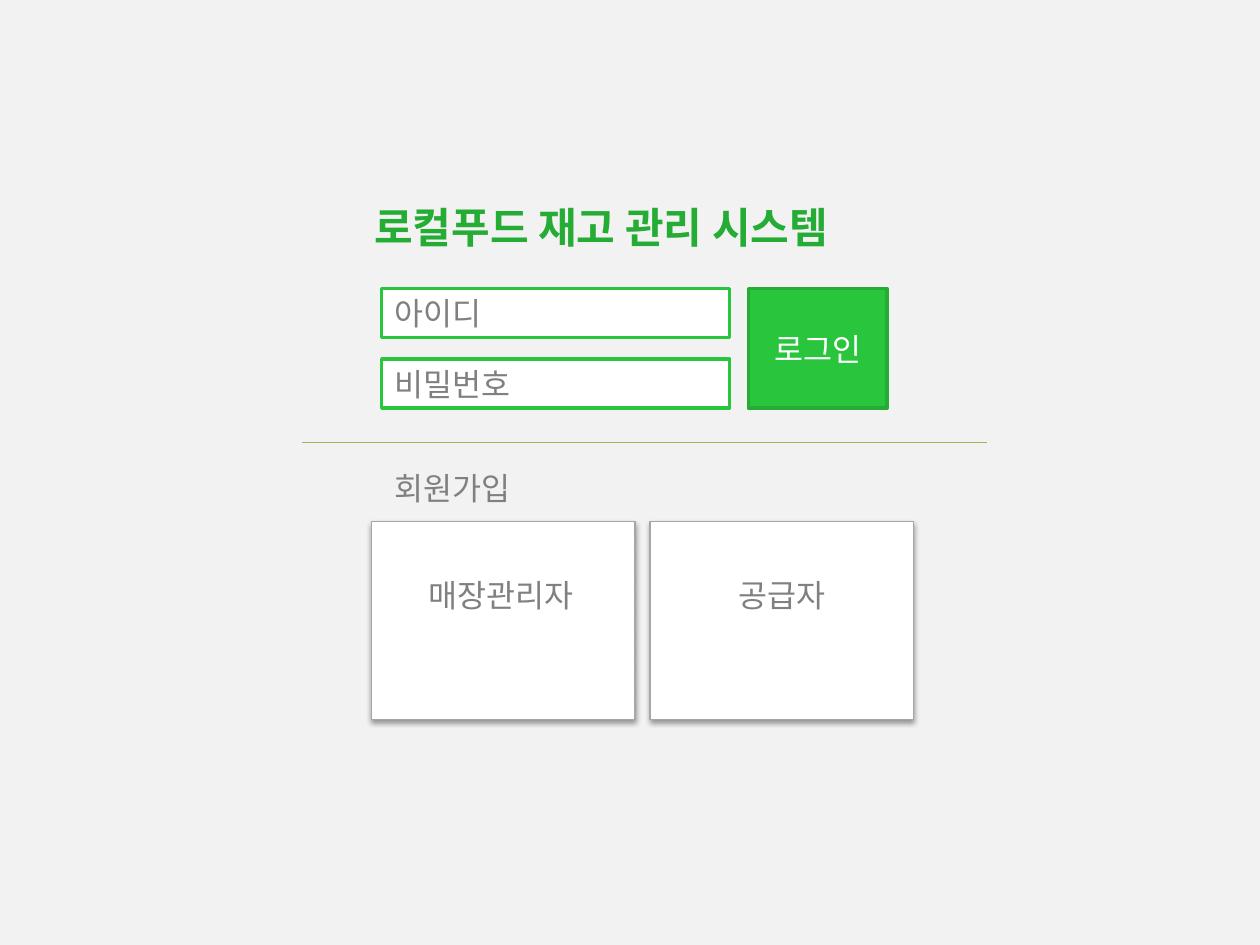
from lxml import etree
from pptx import Presentation
from pptx import util as u
from pptx.dml.color import RGBColor
from pptx.enum import shapes, text
from pptx.oxml import ns

FONT = "Noto Sans CJK KR"
COLORS = {
    "page": "F2F2F2",
    "white": "FFFFFF",
    "green": "29C53C",
    "dark_green": "24AC34",
    "rule": "98B955",
    "gray": "808080",
    "border": "A6A6A6",
    "shadow": "000000",
}


def color(name):
    return RGBColor.from_string(COLORS[name])


def add_child(parent, tag, **attributes):
    return etree.SubElement(parent, ns.qn(tag), attributes)


def write(frame, words, size, ink, bold=False, align=text.PP_ALIGN.LEFT):
    para = frame.paragraphs[0]
    para.text = words
    para.alignment = align
    font = para.font
    font.name, font.size, font.bold = FONT, u.Pt(size), bold
    font.color.rgb = color(ink)
    add_child(para._p.pPr.find(ns.qn("a:defRPr")), "a:ea", typeface=FONT)


def fit_to_text(frame):
    frame.word_wrap = False
    frame.auto_size = text.MSO_AUTO_SIZE.SHAPE_TO_FIT_TEXT
    frame.vertical_anchor = text.MSO_ANCHOR.TOP


def add_label(page, left, top, width, words):
    box = page.shapes.add_textbox(
        u.Inches(left), u.Inches(top), u.Inches(width), u.Inches(0.4))
    fit_to_text(box.text_frame)
    write(box.text_frame, words, 18, "gray")


def add_box(page, left, top, width, height, fill, line, weight):
    box = page.shapes.add_shape(
        shapes.MSO_SHAPE.RECTANGLE,
        u.Inches(left), u.Inches(top), u.Inches(width), u.Inches(height))
    box.shadow.inherit = False
    box.fill.solid()
    box.fill.fore_color.rgb = color(fill)
    box.line.color.rgb = color(line)
    box.line.width = u.Pt(weight)
    box.text_frame.vertical_anchor = text.MSO_ANCHOR.MIDDLE
    return box


def add_drop_shadow(box):
    effects = box._element.spPr.find(ns.qn("a:effectLst"))
    shadow = add_child(
        effects, "a:outerShdw", blurRad=str(u.Pt(3.1)), dist=str(u.Pt(1.6)),
        dir="5400000", rotWithShape="0")
    tone = add_child(shadow, "a:srgbClr", val=COLORS["shadow"])
    add_child(tone, "a:alpha", val="38000")


def place_title(page, left, top, width, height):
    title = page.shapes.title
    title.left, title.top = u.Inches(left), u.Inches(top)
    title.width, title.height = u.Inches(width), u.Inches(height)
    fit_to_text(title.text_frame)
    write(title.text_frame, "로컬푸드 재고 관리 시스템", 24, "dark_green", bold=True)


def add_login(page, left, top, width, height):
    field_width, field_height, button_width = 2.76, 0.39, 1.1
    for index, words in enumerate(("아이디", "비밀번호")):
        field_top = top + index * (height - field_height)
        field = add_box(page, left, field_top, field_width, field_height,
                        "white", "green", 2)
        write(field.text_frame, words, 18, "gray")
    button = add_box(page, left + width - button_width, top, button_width,
                     height, "green", "dark_green", 2)
    write(button.text_frame, "로그인", 18, "white", align=text.PP_ALIGN.CENTER)


def add_divider(page, left, top, width):
    rule = page.shapes.add_connector(
        shapes.MSO_CONNECTOR.STRAIGHT, u.Inches(left), u.Inches(top),
        u.Inches(left + width), u.Inches(top))
    rule.line.color.rgb = color("rule")
    rule.line.width = u.Pt(0.75)
    add_child(rule._element.spPr, "a:effectLst")


def add_signup(page, left, top, width, height):
    card_width, card_top = 2.09, top + 0.47
    card_height = height - 0.47
    add_label(page, left + 0.08, top, 1.21, "회원가입")
    roles = (("매장관리자", 1.46), ("공급자", 0.96))
    for index, (words, label_width) in enumerate(roles):
        card_left = left + index * (width - card_width)
        card = add_box(page, card_left, card_top, card_width, card_height,
                       "white", "border", 0.75)
        add_drop_shadow(card)
        label_left = card_left + (card_width - label_width) / 2
        add_label(page, label_left + 0.04, card_top + 0.38, label_width, words)


deck = Presentation()
deck.slide_width, deck.slide_height = u.Inches(10), u.Inches(7.5)
page = deck.slides.add_slide(deck.slide_layouts[5])
page.background.fill.solid()
page.background.fill.fore_color.rgb = color("page")
place_title(page, 2.87, 1.55, 4.26, 0.5)
add_login(page, 3.03, 2.29, 4.01, 0.95)
add_divider(page, 2.4, 3.51, 5.43)
add_signup(page, 2.95, 3.67, 4.3, 2.04)
deck.save("out.pptx")
